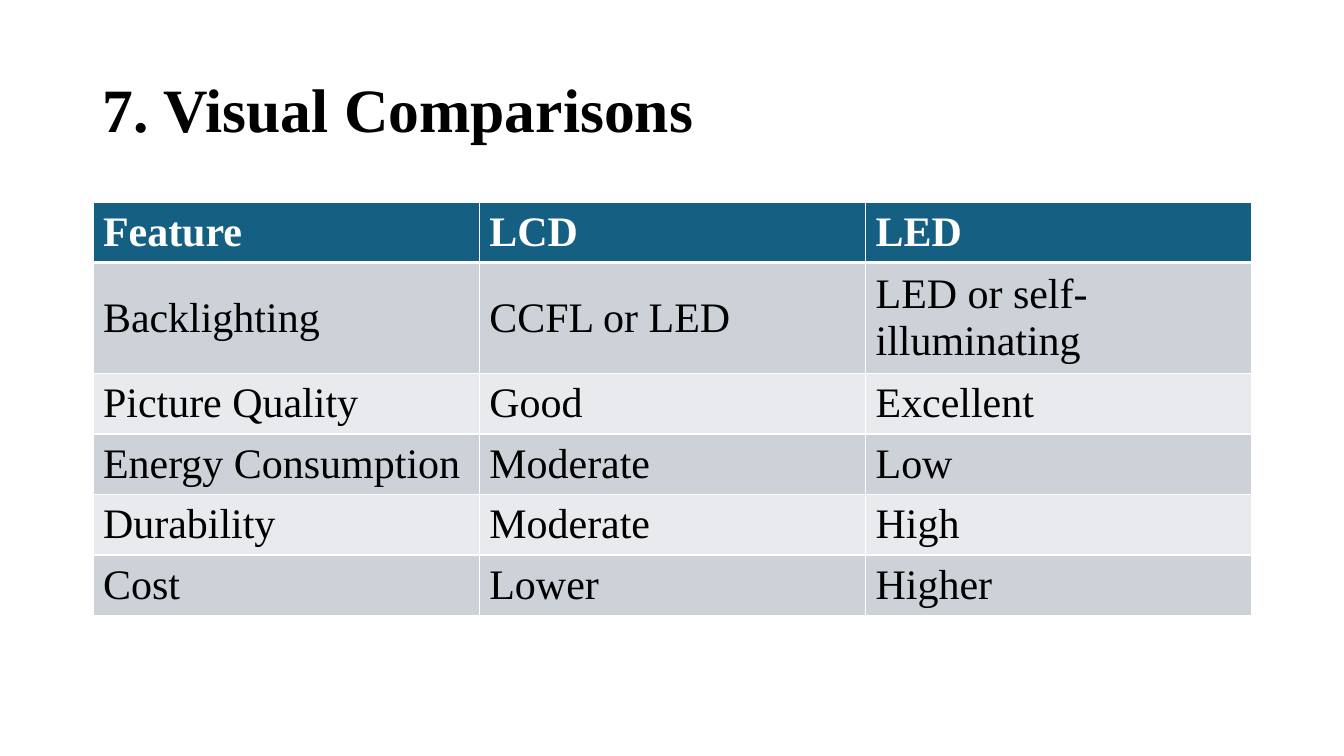
from lxml.etree import SubElement
from pptx import Presentation
from pptx.dml.color import RGBColor
from pptx.enum.text import MSO_ANCHOR
from pptx.oxml.ns import qn
from pptx.util import Emu, Pt

TITLE = "7. Visual Comparisons"
COMPARISON = [
    ("Feature", "LCD", "LED"),
    ("Backlighting", "CCFL or LED", "LED or self-illuminating"),
    ("Picture Quality", "Good", "Excellent"),
    ("Energy Consumption", "Moderate", "Low"),
    ("Durability", "Moderate", "High"),
    ("Cost", "Lower", "Higher"),
]
FONT = "Times New Roman"
BLACK, WHITE = "000000", "FFFFFF"
HEADER_FILL = "156082"
BAND_FILLS = ("E8EAED", "CCD2D8")
LEFT, WIDTH = 93, 1159
TITLE_TOP, TITLE_HEIGHT = 40, 146
TABLE_TOP = 202
ROW_HEIGHTS = (56, 103, 56, 56, 56, 56)


def px(length):
    return Emu(round(length * 914400 / 100.8))


def color(value):
    return RGBColor.from_string(value)


def write(frame, text, size, ink=BLACK, bold=False, spacing=None):
    frame.word_wrap = True
    paragraph = frame.paragraphs[0]
    paragraph.line_spacing = spacing
    run = paragraph.add_run()
    run.text = text
    run.font.name = FONT
    run.font.size = Pt(size)
    run.font.bold = bold
    run.font.color.rgb = color(ink)


def add_borders(cell, top, bottom):
    properties = cell._tc.get_or_add_tcPr()
    for side, points in (("L", 1), ("R", 1), ("T", top), ("B", bottom)):
        line = SubElement(properties, qn(f"a:ln{side}"), w=str(Pt(points)))
        fill = SubElement(line, qn("a:solidFill"))
        SubElement(fill, qn("a:srgbClr"), val=WHITE)


def add_title(slide):
    title = slide.shapes.add_textbox(
        px(LEFT), px(TITLE_TOP), px(WIDTH), px(TITLE_HEIGHT))
    title.text_frame.vertical_anchor = MSO_ANCHOR.MIDDLE
    write(title.text_frame, TITLE, size=44, bold=True, spacing=0.9)


def add_comparison(slide):
    columns = len(COMPARISON[0])
    comparison = slide.shapes.add_table(
        len(COMPARISON), columns, px(LEFT), px(TABLE_TOP),
        px(WIDTH), px(sum(ROW_HEIGHTS))).table
    comparison.horz_banding = False
    for column in comparison.columns:
        column.width = px(WIDTH / columns)
    for r, features in enumerate(COMPARISON):
        header = r == 0
        comparison.rows[r].height = px(ROW_HEIGHTS[r])
        for c, feature in enumerate(features):
            cell = comparison.cell(r, c)
            cell.vertical_anchor = MSO_ANCHOR.MIDDLE
            add_borders(cell, top=3 if r == 1 else 1, bottom=3 if header else 1)
            cell.fill.solid()
            cell.fill.fore_color.rgb = color(
                HEADER_FILL if header else BAND_FILLS[r % 2])
            write(cell.text_frame, feature, size=30,
                  ink=WHITE if header else BLACK, bold=header)


def main():
    deck = Presentation()
    deck.slide_width, deck.slide_height = px(1344), px(756)
    slide = deck.slides.add_slide(deck.slide_layouts[6])
    add_title(slide)
    add_comparison(slide)
    deck.save("out.pptx")


if __name__ == "__main__":
    main()
